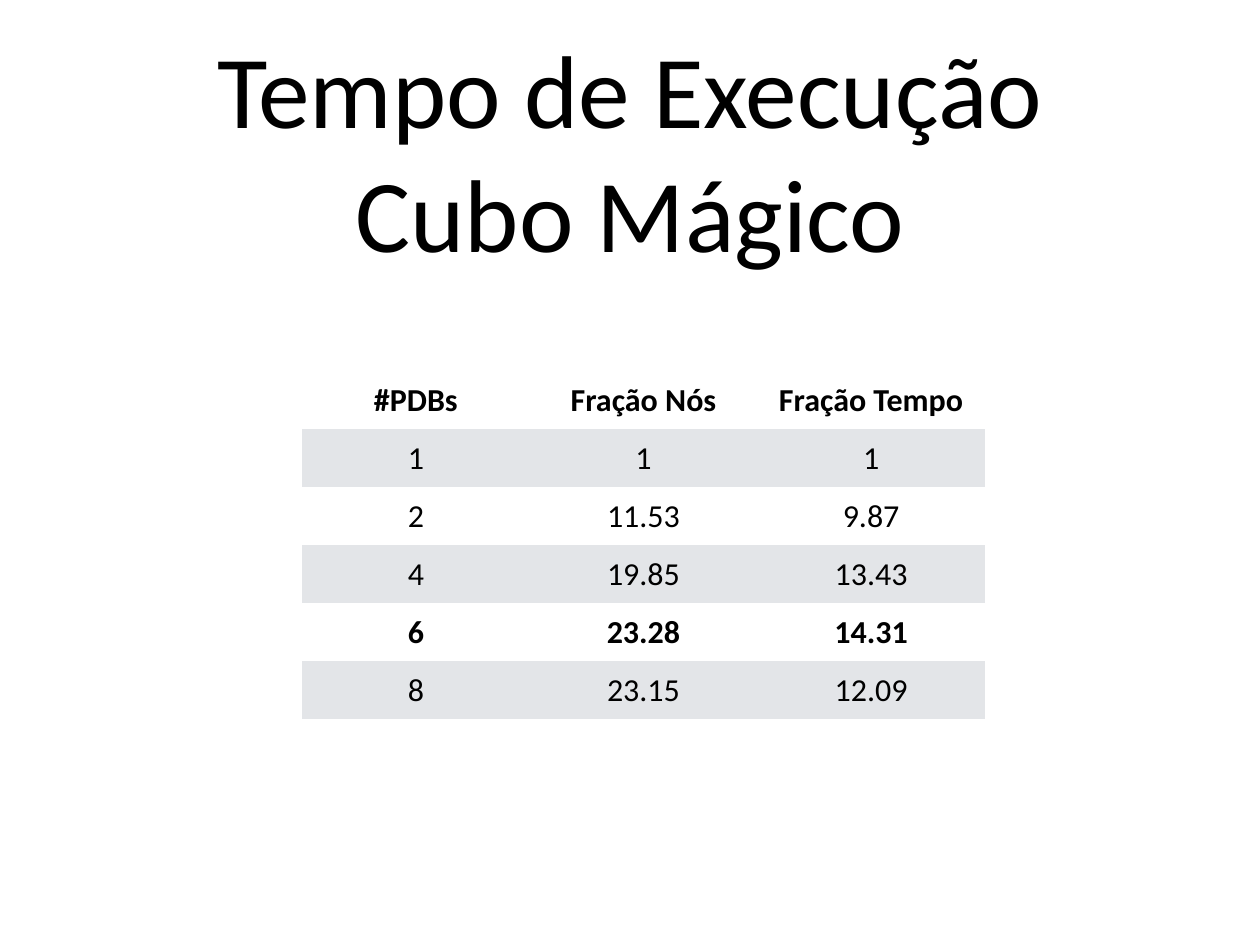
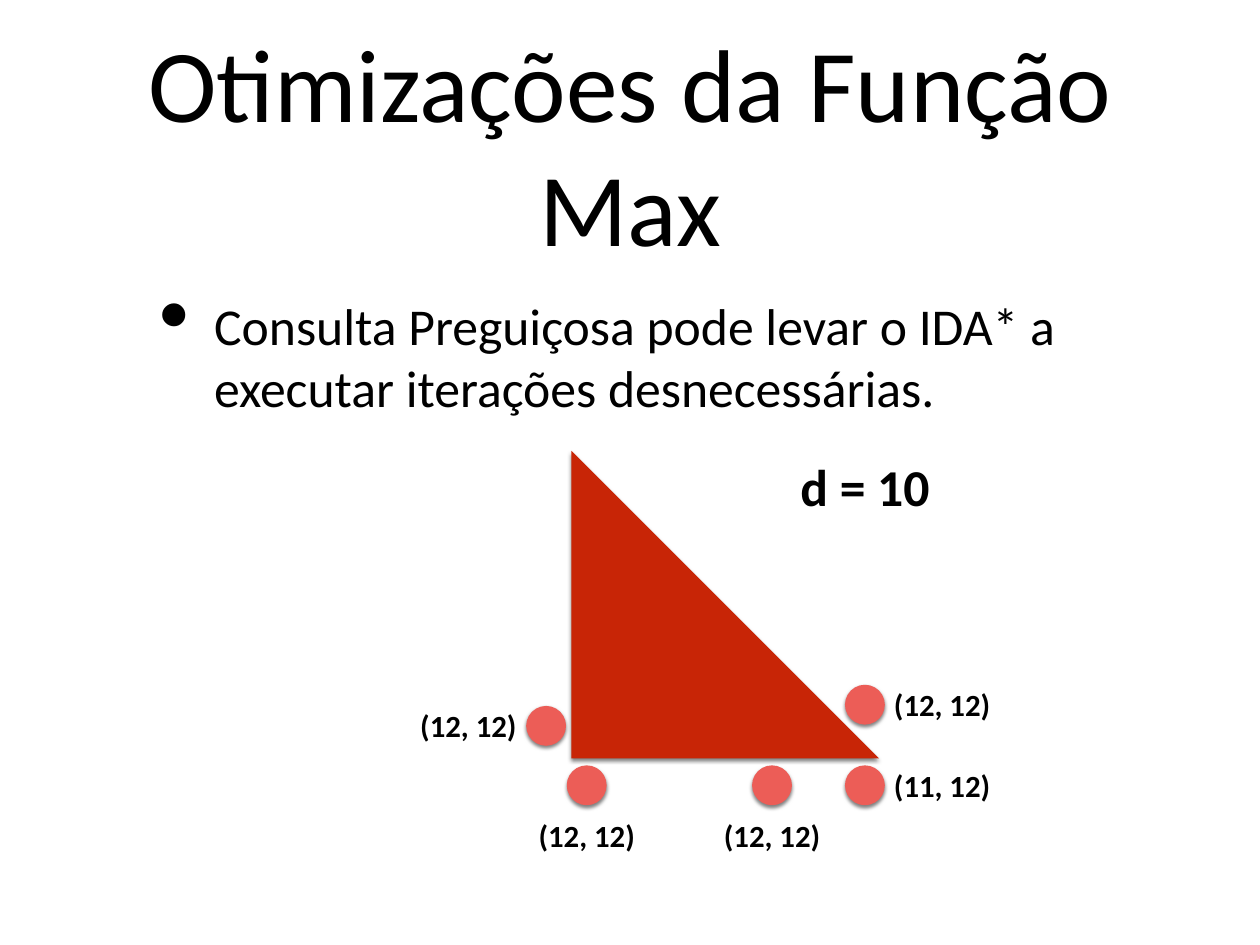
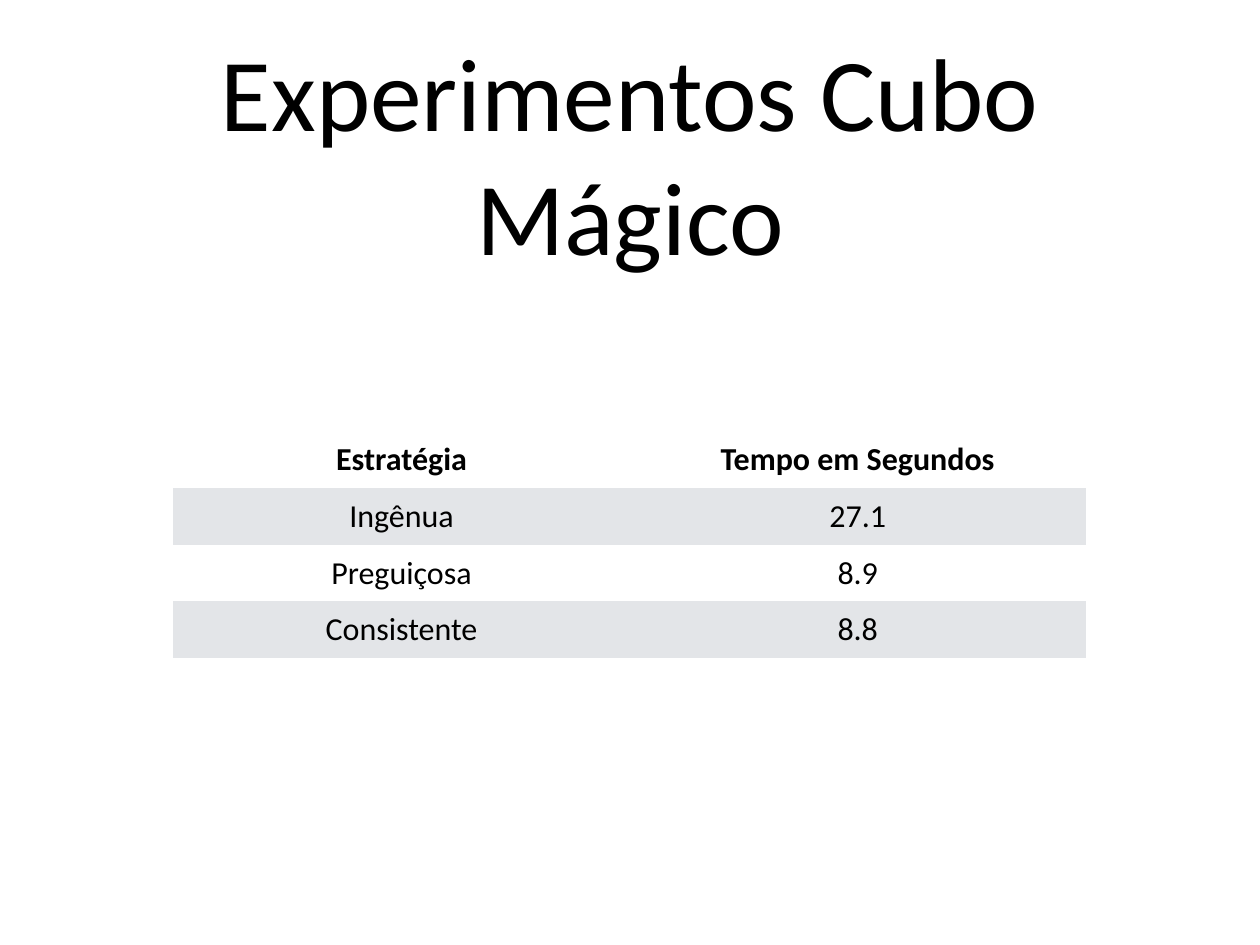
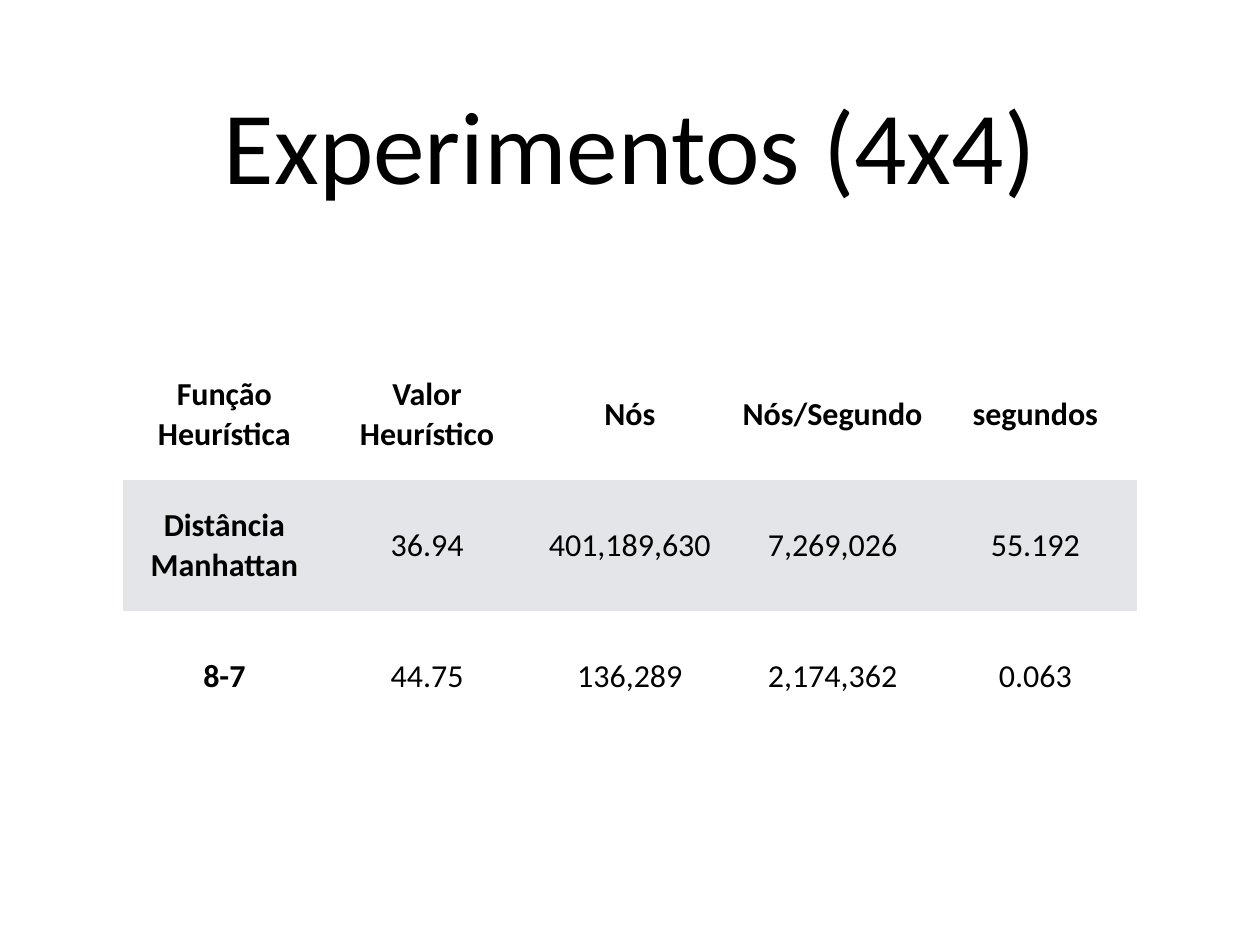
import pptx
import pptx.util
import pptx.dml.color
import pptx.enum.shapes
import pptx.enum.text
import pptx.oxml
import pptx.oxml.ns

Pt = pptx.util.Pt
SHAPE = pptx.enum.shapes.MSO_SHAPE
ALIGN = pptx.enum.text.PP_ALIGN
ANCHOR = pptx.enum.text.MSO_ANCHOR
qn = pptx.oxml.ns.qn
NS = pptx.oxml.ns.nsdecls("a")


class Deck:
    FONT = "Calibri"
    COLORS = {"text": "000000", "plain": "FFFFFF", "band": "E3E5E8",
              "tree": "C82506", "node": "EC5D57", "shadow": "000000"}
    LEFT, WIDTH = 100, 824
    INSET = 4
    NODE = 32.4
    LABEL = (93, 38)
    NO_GRID = "{2D5ABB26-0587-4C30-8999-92F81FD0307C}"

    def __init__(self):
        self.prs = pptx.Presentation()
        self.prs.slide_width, self.prs.slide_height = Pt(1024), Pt(768)
        self.s = None

    def color(self, name):
        return pptx.dml.color.RGBColor.from_string(self.COLORS[name])

    def style(self, p, size, bold=False, align=ALIGN.CENTER):
        p.alignment = align
        p.font.name, p.font.size, p.font.bold = self.FONT, Pt(size), bold
        p.font.color.rgb = self.color("text")

    def text(self, x, y, w, h, text, size, bold=False, align=ALIGN.CENTER, wrap=True):
        """Add a vertically centred text box and return its paragraph."""
        tf = self.s.shapes.add_textbox(Pt(x), Pt(y), Pt(w), Pt(h)).text_frame
        tf.margin_left = tf.margin_right = tf.margin_top = tf.margin_bottom = Pt(self.INSET)
        tf.vertical_anchor = ANCHOR.MIDDLE
        tf.word_wrap = wrap
        if not wrap:
            tf.auto_size = pptx.enum.text.MSO_AUTO_SIZE.SHAPE_TO_FIT_TEXT
        p = tf.paragraphs[0]
        p.text = text
        self.style(p, size, bold, align)
        return p

    def slide(self, title, title_height=192):
        self.s = self.prs.slides.add_slide(self.prs.slide_layouts[6])
        self.text(self.LEFT, 20, self.WIDTH, title_height, title, 84)

    def bullet(self, y, h, text):
        p = self.text(self.LEFT, y, self.WIDTH, h, text, 42, align=ALIGN.LEFT)
        p.space_before = Pt(24)
        pPr = p._p.get_or_add_pPr()
        pPr.set("marL", str(Pt(70)))
        pPr.set("indent", str(-Pt(44.5)))
        # Bullet elements must come after spacing and before the run defaults.
        for xml in (f'<a:buSzPct {NS} val="171000"/>', f'<a:buChar {NS} char="•"/>'):
            pPr.insert_element_before(pptx.oxml.parse_xml(xml), "a:tabLst", "a:defRPr", "a:extLst")

    def shape(self, kind, x, y, w, h, fill):
        """Add a borderless shape with a soft shadow below it."""
        sp = self.s.shapes.add_shape(kind, Pt(x), Pt(y), Pt(w), Pt(h))
        sp.fill.solid()
        sp.fill.fore_color.rgb = self.color(fill)
        sp.line.fill.background()
        sp.shadow.inherit = False
        sp._element.spPr.find(qn("a:effectLst")).append(pptx.oxml.parse_xml(
            f'<a:outerShdw {NS} blurRad="{Pt(3)}" dist="{Pt(2)}" dir="5400000" rotWithShape="0">'
            f'<a:srgbClr val="{self.COLORS["shadow"]}"><a:alpha val="50000"/></a:srgbClr>'
            '</a:outerShdw>'))

    def node(self, x, y, label, side):
        """Add a tree node with its label on the given side."""
        self.shape(SHAPE.OVAL, x, y, self.NODE, self.NODE, "node")
        w, h = self.LABEL
        dx, dy = {"left": (-w - 0.5, -3), "right": (self.NODE, -3),
                  "below": ((self.NODE - w) / 2, 37.5)}[side]
        self.text(x + dx, y + dy, w, h, label, 25, bold=True, wrap=False)

    def table(self, x, y, w, row_height, rows, bold_rows=(0,), bold_cols=()):
        n_rows, n_cols = len(rows), len(rows[0])
        tbl = self.s.shapes.add_table(n_rows, n_cols, Pt(x), Pt(y), Pt(w),
                                      Pt(row_height * n_rows)).table
        tbl._tbl.tblPr.find(qn("a:tableStyleId")).text = self.NO_GRID
        for col in tbl.columns:
            col.width = Pt(w / n_cols)
        for i, row in enumerate(rows):
            tbl.rows[i].height = Pt(row_height)
            for j, value in enumerate(row):
                cell = tbl.cell(i, j)
                cell.text = value
                cell.vertical_anchor = ANCHOR.MIDDLE
                cell.margin_left = cell.margin_right = Pt(self.INSET)
                cell.margin_top = cell.margin_bottom = Pt(self.INSET)
                cell.fill.solid()
                cell.fill.fore_color.rgb = self.color("band" if i % 2 else "plain")
                self.style(cell.text_frame.paragraphs[0], 26, i in bold_rows or j in bold_cols)


def main():
    deck = Deck()

    deck.slide("Tempo de Execução Cubo Mágico", 202)
    deck.table(245.5, 301.7, 555, 47.15, [
        ("#PDBs", "Fração Nós", "Fração Tempo"),
        ("1", "1", "1"),
        ("2", "11.53", "9.87"),
        ("4", "19.85", "13.43"),
        ("6", "23.28", "14.31"),
        ("8", "23.15", "12.09"),
    ], bold_rows=(0, 4))

    deck.slide("Otimizações da Função Max")
    deck.bullet(218, 142.5, "Consulta Preguiçosa pode levar o IDA* a executar iterações desnecessárias.")
    deck.shape(SHAPE.RIGHT_TRIANGLE, 464.4, 366.4, 250, 250, "tree")
    for x, y, label, side in (
        (460.6, 622, "(12, 12)", "below"),
        (611.2, 622, "(12, 12)", "below"),
        (686.7, 622, "(11, 12)", "right"),
        (427.6, 573.7, "(12, 12)", "left"),
        (686.7, 556.5, "(12, 12)", "right"),
    ):
        deck.node(x, y, label, side)
    deck.text(640.8, 365, 124.5, 59, "d = 10", 42, bold=True, wrap=False)

    deck.slide("Experimentos Cubo Mágico", 207)
    deck.table(141, 350.5, 741.5, 46.1, [
        ("Estratégia", "Tempo em Segundos"),
        ("Ingênua", "27.1"),
        ("Preguiçosa", "8.9"),
        ("Consistente", "8.8"),
    ])

    deck.slide("Experimentos (4x4)")
    deck.table(deck.LEFT, 283.7, deck.WIDTH, 106.4, [
        ("Função Heurística", "Valor Heurístico", "Nós", "Nós/Segundo", "segundos"),
        ("Distância Manhattan", "36.94", "401,189,630", "7,269,026", "55.192"),
        ("8-7", "44.75", "136,289", "2,174,362", "0.063"),
    ], bold_cols=(0,))

    deck.prs.save("out.pptx")


if __name__ == "__main__":
    main()
